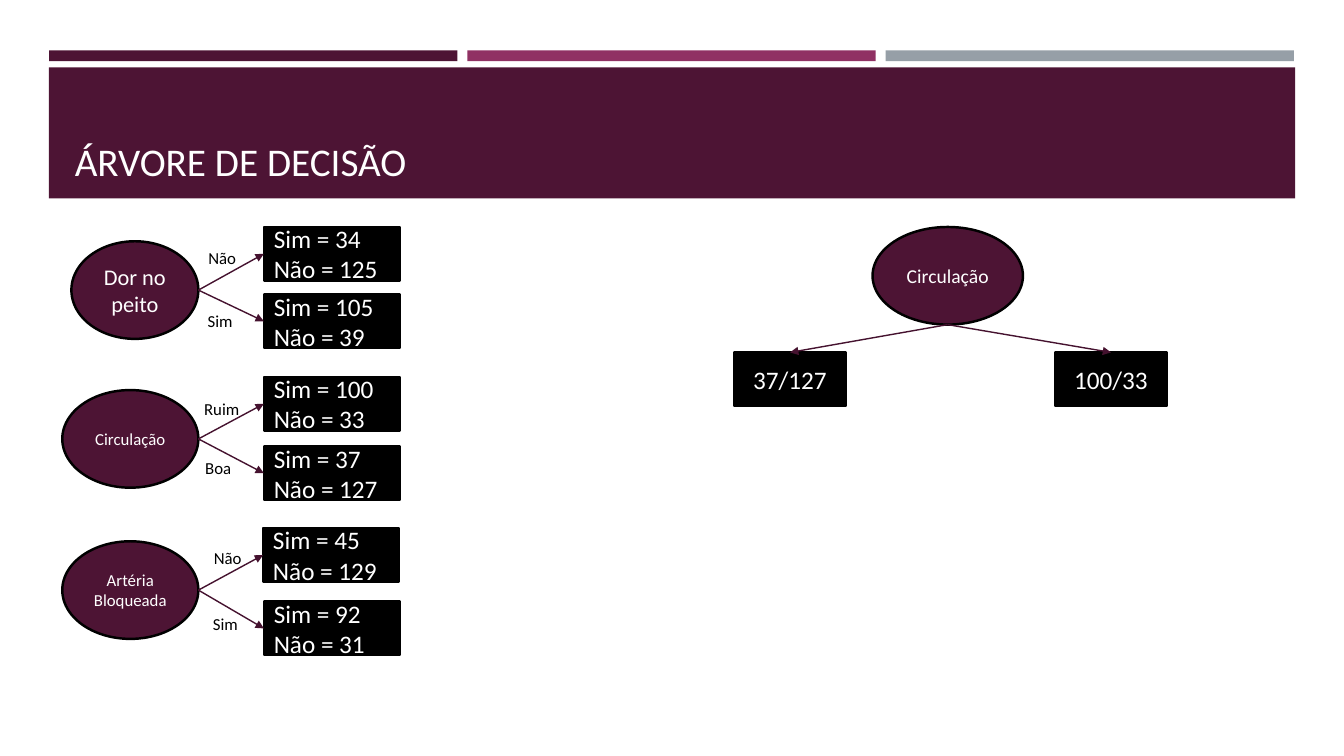
from lxml.etree import SubElement
from pptx import Presentation
from pptx.dml.color import RGBColor
from pptx.enum.shapes import MSO_CONNECTOR, MSO_SHAPE
from pptx.enum.text import MSO_ANCHOR, MSO_AUTO_SIZE, PP_ALIGN
from pptx.oxml.ns import qn
from pptx.util import Cm, Pt

FONT = "Calibri"
PLUM, ROSE, GREY = "4D1434", "903163", "969FA7"
ARROW, BLACK, WHITE = "45122F", "000000", "FFFFFF"
BOX_H, OVAL_H = 1.35, 2.46
LEFT, TOP = 1, 0  # connection sites of a rectangle


def paint(color, hue):
    color.rgb = RGBColor.from_string(hue)


class Deck:
    def __init__(self):
        self.file = Presentation()
        self.file.slide_width, self.file.slide_height = Cm(33.87), Cm(19.05)
        self.slide = self.file.slides.add_slide(self.file.slide_layouts[5])
        self.shapes = self.slide.shapes

    def label_frame(self, frame, text, size, hue, align):
        frame.word_wrap = True
        frame.text = text
        for line in frame.paragraphs:
            line.alignment = align
            line.font.name, line.font.size = FONT, Pt(size)
            paint(line.font.color, hue)

    def shape(self, kind, x, y, w, h, fill, edge=None):
        item = self.shapes.add_shape(kind, Cm(x), Cm(y), Cm(w), Cm(h))
        item.shadow.inherit = False
        item.fill.solid()
        paint(item.fill.fore_color, fill)
        if edge:
            paint(item.line.color, edge)
            item.line.width = Pt(1.75)
        else:
            item.line.fill.background()
        return item

    def bar(self, x, y, w, h, fill):
        self.shape(MSO_SHAPE.RECTANGLE, x, y, w, h, fill)

    def title(self, text):
        item = self.shapes.title
        item.left, item.top, item.width, item.height = Cm(1.63), Cm(1.96), Cm(30.63), Cm(2.82)
        self.label_frame(item.text_frame, text, 28, WHITE, PP_ALIGN.LEFT)
        item.text_frame.auto_size = MSO_AUTO_SIZE.NONE
        item.text_frame.vertical_anchor = MSO_ANCHOR.BOTTOM
        item.element.getparent().append(item.element)  # in front of the band

    def oval(self, x, y, w, text, size):
        item = self.shape(MSO_SHAPE.OVAL, x, y, w, OVAL_H, PLUM, BLACK)
        self.label_frame(item.text_frame, text, size, WHITE, PP_ALIGN.CENTER)

    def box(self, x, y, w, text, align):
        item = self.shape(MSO_SHAPE.RECTANGLE, x, y, w, BOX_H, BLACK, BLACK)
        self.label_frame(item.text_frame, text, 18, WHITE, align)
        return item

    def label(self, mid, y, text):
        w = 1.47
        item = self.shapes.add_textbox(Cm(mid - w / 2), Cm(y), Cm(w), Cm(0.77))
        self.label_frame(item.text_frame, text, 12, BLACK, PP_ALIGN.CENTER)

    def arrow(self, x, y, box, site):
        item = self.shapes.add_connector(MSO_CONNECTOR.STRAIGHT, Cm(x), Cm(y), Cm(x), Cm(y))
        item.end_connect(box, site)
        paint(item.line.color, ARROW)
        item.line.width = Pt(1)
        props = item.element.spPr
        SubElement(props.find(qn("a:ln")), qn("a:tailEnd"), type="triangle")
        SubElement(props, qn("a:effectLst"))

    def stump(self, name, size, x, mid, leaves):
        """Draw a one-question tree: oval on the left, two answers on the right."""
        root = 5
        self.oval(x, mid - OVAL_H / 2, root - x, name, size)
        for answer, at, label_y, left, top, yes, no in leaves:
            text = f"Sim = {yes}\nNão = {no}"
            box = self.box(left, top, 3.43, text, PP_ALIGN.JUSTIFY)
            self.arrow(root, mid, box, LEFT)
            self.label(at, label_y, answer)


# name, size, oval left, middle, then per leaf:
# answer, label middle, label top, box left, box top, yes, no
STUMPS = [
    ("Dor no peito", 16, 1.8, 7.31, [
        ("Não", 5.6, 6.12, 6.65, 5.72, 34, 125),
        ("Sim", 5.55, 7.7, 6.65, 7.42, 105, 39)]),
    ("Circulação", 12, 1.57, 11.06, [
        ("Ruim", 5.59, 9.93, 6.65, 9.5, 100, 33),
        ("Boa", 5.5, 11.4, 6.65, 11.25, 37, 127)]),
    ("Artéria Bloqueada", 12, 1.57, 14.87, [
        ("Não", 5.74, 13.67, 6.63, 13.31, 45, 129),
        ("Sim", 5.68, 15.34, 6.65, 15.16, 92, 31)]),
]


def main():
    deck = Deck()
    for i, hue in enumerate((PLUM, ROSE, GREY)):
        deck.bar(1.24 + i * 10.54, 1.27, 10.29, 0.27, hue)
    deck.bar(1.23, 1.7, 31.41, 3.3, PLUM)
    deck.title("ÁRVORE DE DECISÃO")

    for stump in STUMPS:
        deck.stump(*stump)

    deck.oval(21.99, 5.72, 3.79, "Circulação", 14)
    for x, text in ((18.5, "37/127"), (26.59, "100/33")):
        box = deck.box(x, 8.88, 2.82, text, PP_ALIGN.CENTER)
        deck.arrow(23.88, 5.72 + OVAL_H, box, TOP)

    deck.file.save("out.pptx")


if __name__ == "__main__":
    main()
